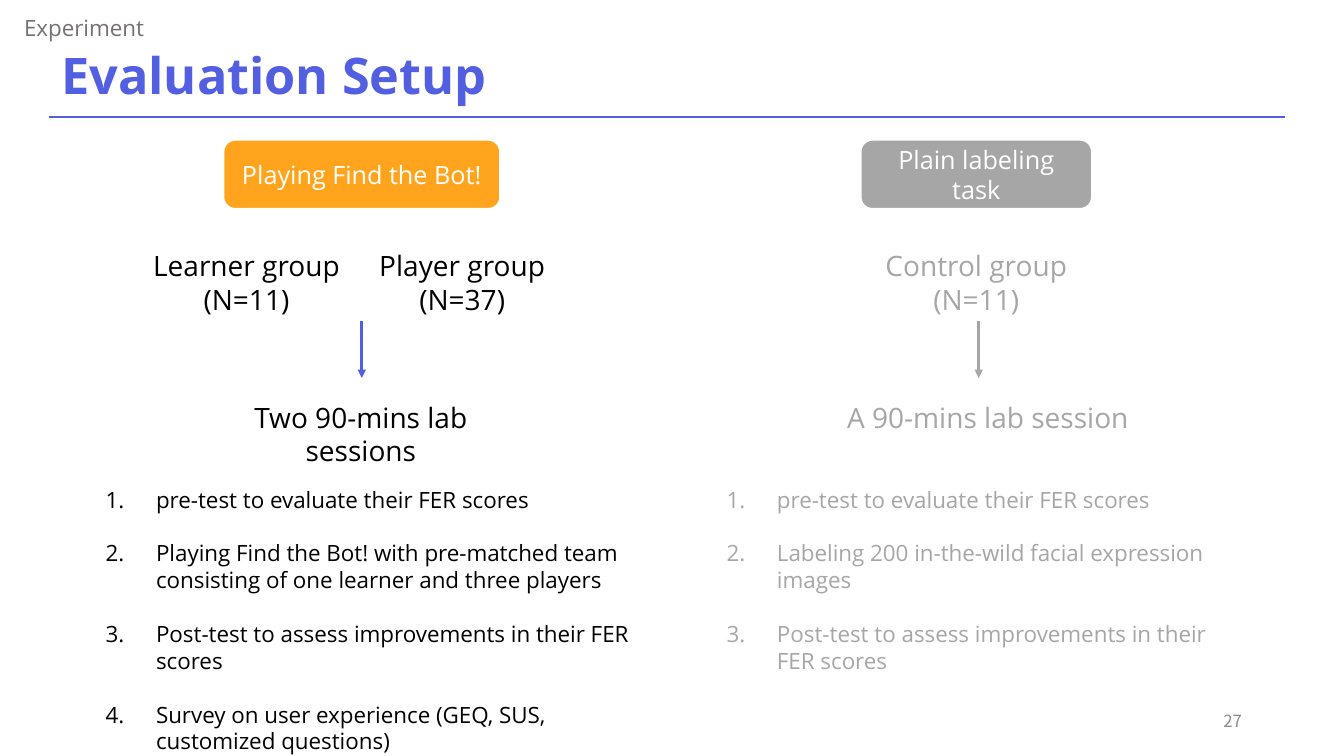
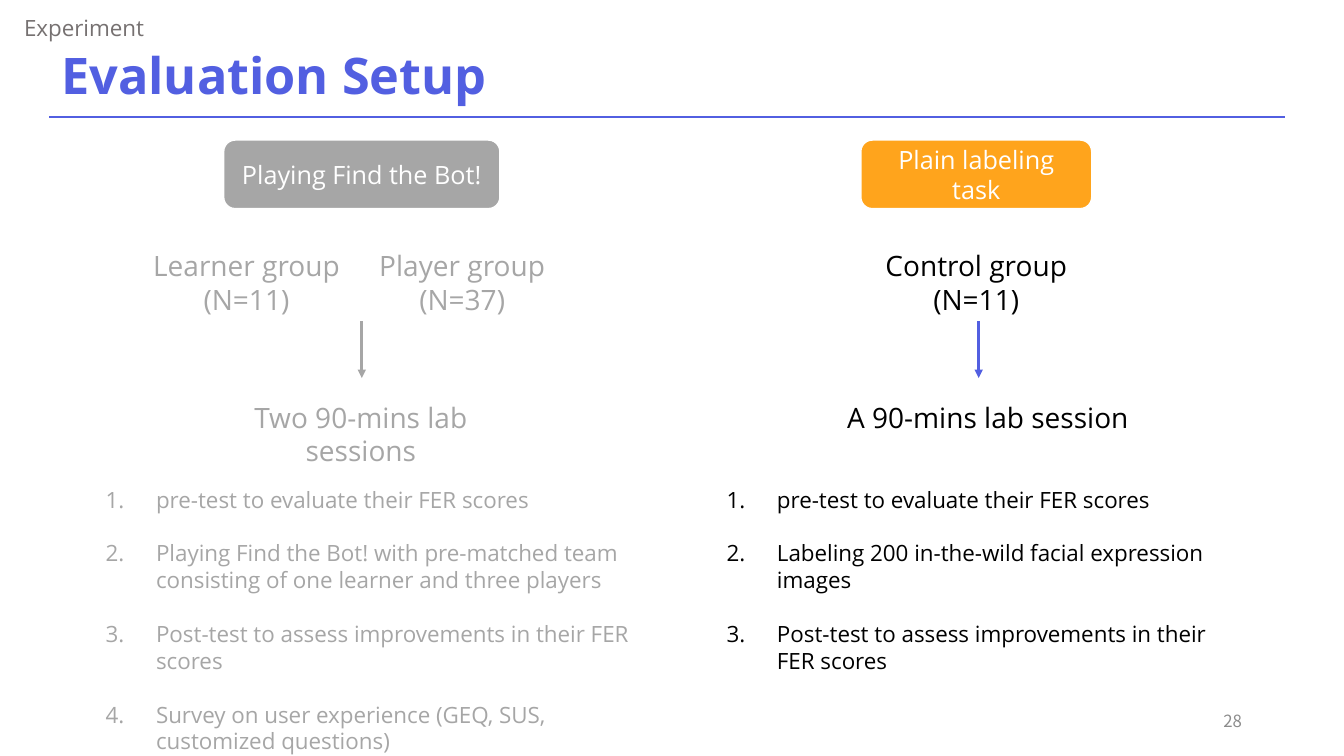
import pptx
import pptx.dml.color
import pptx.enum.shapes
import pptx.enum.text
import pptx.oxml.ns
import pptx.util
from lxml import etree

ALIGN = pptx.enum.text.PP_ALIGN
ANCHOR = pptx.enum.text.MSO_ANCHOR
ACCENT, ORANGE, MUTED = "525FE1", "FFA41C", "A6A6A6"
INK, PAPER, SECTION_GREY, NUMBER_GREY = "000000", "FFFFFF", "767171", "8C8C8C"
BODY_FONT, TITLE_FONT, NUMBER_FONT = "Open Sans", "Noto Sans", "Noto Sans CJK KR"

LANES = [
    {
        "task": "Playing Find the Bot!", "task_center": 26.92, "task_width": 20.55,
        "groups": [("Learner group", "(N=11)", 18.34, 17.18),
                   ("Player group", "(N=37)", 34.39, 17.18)],
        "arrow": 26.92,
        "session": "Two 90-mins lab sessions", "session_center": 26.85,
        "steps": ["pre-test to evaluate their FER scores",
                  "Playing Find the Bot! with pre-matched team consisting of one learner and three players",
                  "Post-test to assess improvements in their FER scores",
                  "Survey on user experience (GEQ, SUS, customized questions)"],
        "steps_box": (7.12, 63.6, 40.65, 37.2),
    },
    {
        "task": "Plain labeling task", "task_center": 72.64, "task_width": 17.18,
        "groups": [("Control group", "(N=11)", 72.64, 20.78)],
        "arrow": 72.82,
        "session": "A 90-mins lab session", "session_center": 73.5,
        "steps": ["pre-test to evaluate their FER scores",
                  "Labeling 200 in-the-wild facial expression images",
                  "Post-test to assess improvements in their FER scores"],
        "steps_box": (53.32, 63.6, 39.52, 26.53),
    },
]


def rgb(code):
    return pptx.dml.color.RGBColor.from_string(code)


def centered(center, top, width, height):
    return center - width / 2, top, width, height


class Deck:
    """Draws styled elements on the current slide, placed in percent of its size."""

    def __init__(self):
        self.prs = pptx.Presentation()
        self.prs.slide_width = pptx.util.Inches(13.33)
        self.prs.slide_height = pptx.util.Inches(7.5)
        self.slide = None

    def x(self, share):
        return round(self.prs.slide_width * share / 100)

    def y(self, share):
        return round(self.prs.slide_height * share / 100)

    def place(self, box):
        left, top, width, height = box
        return self.x(left), self.y(top), self.x(width), self.y(height)

    def fill_text(self, shape, lines, size, color, font=BODY_FONT, bold=False,
                  align=ALIGN.LEFT, anchor=ANCHOR.TOP, numbered=False):
        frame = shape.text_frame
        frame.word_wrap = True
        frame.vertical_anchor = anchor
        for index, line in enumerate(lines):
            paragraph = frame.add_paragraph() if index else frame.paragraphs[0]
            paragraph.text = line
            paragraph.alignment = align
            if numbered:
                self.number(paragraph)
                if index:
                    paragraph.space_before = pptx.util.Pt(size * 1.2)
            paragraph.font.size = pptx.util.Pt(size)
            paragraph.font.name = font
            paragraph.font.bold = bold
            paragraph.font.color.rgb = rgb(color)

    def number(self, paragraph):
        indent = pptx.util.Inches(0.5)
        properties = paragraph._p.get_or_add_pPr()
        properties.set("marL", str(indent))
        properties.set("indent", str(-indent))
        bullet = etree.SubElement(properties, pptx.oxml.ns.qn("a:buAutoNum"))
        bullet.set("type", "arabicPeriod")

    def text(self, box, lines, size, color, **style):
        shape = self.slide.shapes.add_textbox(*self.place(box))
        self.fill_text(shape, lines, size, color, **style)
        return shape

    def steps(self, box, lines, color):
        panel = self.text(box, lines, 16, color, numbered=True)
        panel.fill.solid()
        panel.fill.fore_color.rgb = rgb(PAPER)

    def button(self, box, label, fill):
        shape = self.slide.shapes.add_shape(
            pptx.enum.shapes.MSO_SHAPE.ROUNDED_RECTANGLE, *self.place(box))
        shape.shadow.inherit = False
        shape.fill.solid()
        shape.fill.fore_color.rgb = rgb(fill)
        shape.line.color.rgb = rgb(PAPER)
        shape.line.width = pptx.util.Pt(1)
        self.fill_text(shape, [label], 18, PAPER, align=ALIGN.CENTER,
                       anchor=ANCHOR.MIDDLE)

    def line(self, start, end, color, width, arrow=False):
        connector = self.slide.shapes.add_connector(
            pptx.enum.shapes.MSO_CONNECTOR.STRAIGHT,
            self.x(start[0]), self.y(start[1]), self.x(end[0]), self.y(end[1]))
        connector.line.color.rgb = rgb(color)
        connector.line.width = pptx.util.Pt(width)
        properties = connector._element.spPr
        if arrow:
            outline = properties.find(pptx.oxml.ns.qn("a:ln"))
            head = etree.SubElement(outline, pptx.oxml.ns.qn("a:tailEnd"))
            head.set("type", "triangle")
        etree.SubElement(properties, pptx.oxml.ns.qn("a:effectLst"))

    def new_slide(self, section, title, number):
        self.slide = self.prs.slides.add_slide(self.prs.slide_layouts[6])
        self.text((1.05, 1.2, 11.02, 4.93), [section], 16, SECTION_GREY)
        self.line((3.67, 15.47), (95.62, 15.47), ACCENT, 1.5)
        self.text((3.82, 5.2, 61.57, 9.47), [title], 36, ACCENT,
                  font=TITLE_FONT, bold=True)
        self.text((70.65, 92.67, 22.5, 5.33), [str(number)], 12, NUMBER_GREY,
                  font=NUMBER_FONT, align=ALIGN.RIGHT, anchor=ANCHOR.MIDDLE)

    def lane(self, lane, active):
        ink = INK if active else MUTED
        self.button(centered(lane["task_center"], 18.53, lane["task_width"], 9.07),
                    lane["task"], ORANGE if active else MUTED)
        for name, count, center, width in lane["groups"]:
            self.text(centered(center, 32.27, width, 10.27), [name, count], 20, ink,
                      align=ALIGN.CENTER)
        self.line((lane["arrow"], 42.53), (lane["arrow"], 50),
                  ACCENT if active else MUTED, 2, arrow=True)
        self.text(centered(lane["session_center"], 52.27, 25.8, 5.87),
                  [lane["session"]], 20, ink, align=ALIGN.CENTER)
        self.steps(lane["steps_box"], lane["steps"], ink)


def main():
    deck = Deck()
    for active, number in enumerate((27, 28)):
        deck.new_slide("Experiment", "Evaluation Setup", number)
        for index, lane in enumerate(LANES):
            deck.lane(lane, index == active)
    deck.prs.save("out.pptx")


if __name__ == "__main__":
    main()
